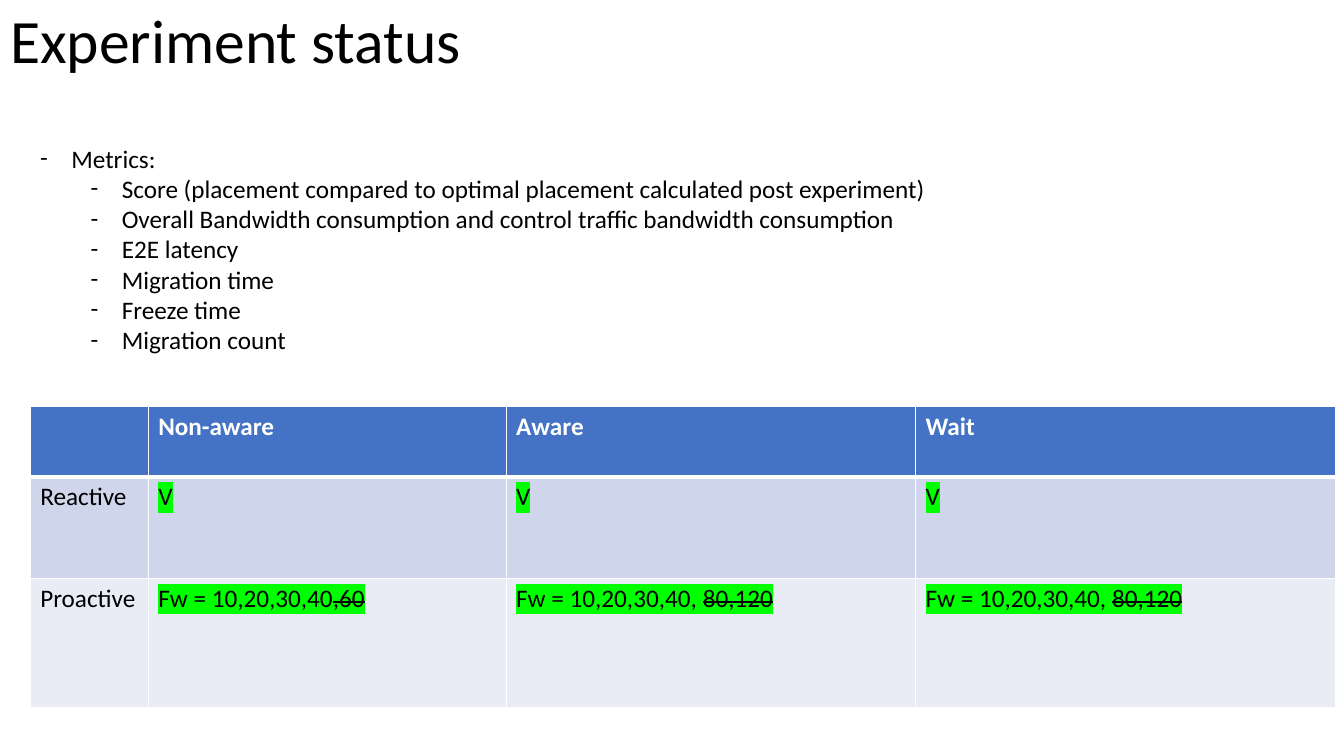
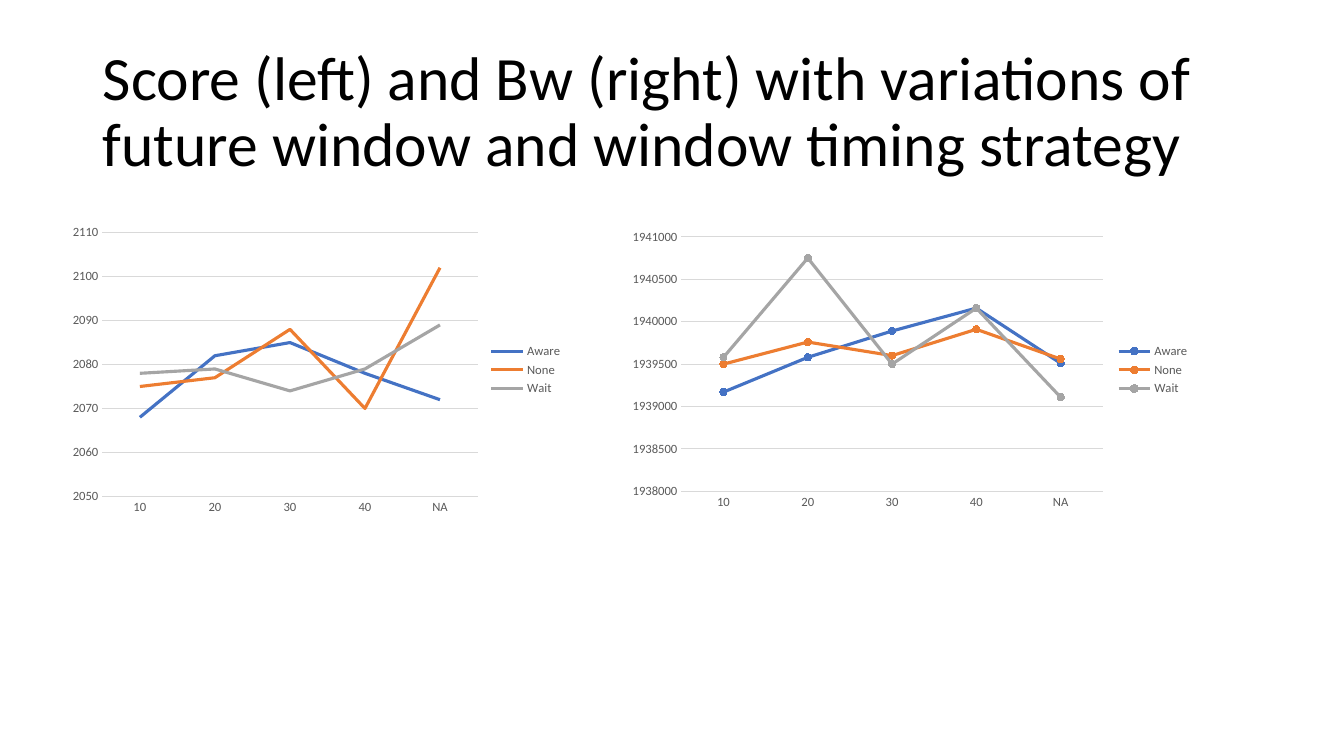
import pptx
import pptx.util
import pptx.chart.data
import pptx.dml.color
import pptx.enum.chart
import pptx.enum.text
import pptx.oxml.ns
import lxml.etree

Inches, Pt, qn = pptx.util.Inches, pptx.util.Pt, pptx.oxml.ns.qn
XL = pptx.enum.chart

# Shared look
FONT = "Calibri"
COLORS = {
    "text": "000000", "white": "FFFFFF", "header": "4472C4", "odd": "CFD5EA",
    "even": "E9EBF5", "done": "00FF00", "axis text": "595959", "grid": "D9D9D9",
    "Aware": "4472C4", "None": "ED7D31", "Wait": "A5A5A5",
}

# Content of the status slide: (level, text) and cells made of (text, style) runs
STATUS_TITLE = "Experiment status"
METRICS = [
    (0, "Metrics:"),
    (1, "Score (placement compared to optimal placement calculated post experiment)"),
    (1, "Overall Bandwidth consumption and control traffic bandwidth consumption"),
    (1, "E2E latency"),
    (1, "Migration time"),
    (1, "Freeze time"),
    (1, "Migration count"),
]
DONE = [("V", "done")]
LATER_WINDOWS = [("Fw = 10,20,30,40, ", "done"), ("80,120", "dropped")]
STATUS_ROWS = [
    [[], [("Non-aware", "header")], [("Aware", "header")], [("Wait", "header")]],
    [[("Reactive", "plain")], DONE, DONE, DONE],
    [[("Proactive", "plain")], [("Fw = 10,20,30,40", "done"), (",60", "dropped")],
     LATER_WINDOWS, LATER_WINDOWS],
]
COLUMN_WIDTHS = [1.17, 3.55, 4.06, 4.17]
ROW_HEIGHTS = [0.7, 1.01, 1.28]
ROW_FILLS = ["header", "odd", "even"]
# Border widths of each row: left, right, top, bottom
ROW_BORDERS = [(1, 1, 1, 3), (1, 1, 3, 1), (1, 1, 1, 1)]

# Content of the results slide
RESULTS_TITLE = ("Score (left) and Bw (right) with variations of future window "
                 "and window timing strategy")
WINDOWS = ["10", "20", "30", "40", "NA"]
RESULTS = [
    {"box": (6.07, 2.17, 5.83, 3), "plot": (0.118, 0.06, 0.717, 0.842),
     "scale": (1938000, 1941000, 500), "markers": True,
     "lines": {"Aware": (1939170, 1939580, 1939890, 1940160, 1939510),
               "None": (1939500, 1939760, 1939600, 1939910, 1939560),
               "Wait": (1939580, 1940750, 1939500, 1940160, 1939110)}},
    {"box": (0.61, 2.17, 5.07, 3), "plot": (0.08, 0.046, 0.734, 0.873),
     "scale": (2050, 2110, 10), "markers": False,
     "lines": {"Aware": (2068, 2082, 2085, 2078, 2072),
               "None": (2075, 2077, 2088, 2070, 2102),
               "Wait": (2078, 2079, 2074, 2079, 2089)}},
]


def rgb(name):
    return pptx.dml.color.RGBColor.from_string(COLORS[name])


def style_font(font, size, color="text", **values):
    for key, value in {"name": FONT, "size": Pt(size), **values}.items():
        setattr(font, key, value)
    font.color.rgb = rgb(color)


def style_line(line, color, width):
    line.color.rgb = rgb(color)
    line.width = Pt(width)


def titled_slide(text, box):
    slide = deck.slides.add_slide(deck.slide_layouts[5])
    title = slide.shapes.title
    title.left, title.top, title.width, title.height = map(Inches, box)
    frame = title.text_frame
    frame.text = text
    frame.auto_size = pptx.enum.text.MSO_AUTO_SIZE.NONE
    frame.vertical_anchor = pptx.enum.text.MSO_ANCHOR.MIDDLE
    paragraph = frame.paragraphs[0]
    paragraph.alignment = pptx.enum.text.PP_ALIGN.LEFT
    paragraph.line_spacing = 0.9
    style_font(paragraph.runs[0].font, 44)
    return slide


def add_metrics(slide, box):
    frame = slide.shapes.add_textbox(*map(Inches, box)).text_frame
    frame.word_wrap = True
    for index, (level, text) in enumerate(METRICS):
        paragraph = frame.paragraphs[0] if index == 0 else frame.add_paragraph()
        paragraph.level = level
        run = paragraph.add_run()
        run.text = text
        style_font(run.font, 18)
        # Dash bullet with a hanging indent
        props = paragraph._p.get_or_add_pPr()
        props.set("marL", str(Inches(0.31 + 0.5 * level)))
        props.set("indent", str(-Inches(0.31)))
        lxml.etree.SubElement(props, qn("a:buFont"), typeface=FONT)
        lxml.etree.SubElement(props, qn("a:buChar"), char="-")


def add_cell_run(paragraph, text, style):
    run = paragraph.add_run()
    run.text = text
    header = style == "header"
    style_font(run.font, 18, "white" if header else "text", bold=header)
    props = run._r.get_or_add_rPr()
    if style in ("done", "dropped"):
        highlight = lxml.etree.Element(qn("a:highlight"))
        lxml.etree.SubElement(highlight, qn("a:srgbClr"), val=COLORS["done"])
        props.find(qn("a:solidFill")).addnext(highlight)
    if style == "dropped":
        props.set("strike", "sngStrike")


def add_borders(cell, widths):
    props = cell._tc.get_or_add_tcPr()
    for index, (side, width) in enumerate(zip("LRTB", widths)):
        border = lxml.etree.Element(qn("a:ln" + side), w=str(Pt(width)))
        fill = lxml.etree.SubElement(border, qn("a:solidFill"))
        lxml.etree.SubElement(fill, qn("a:srgbClr"), val=COLORS["white"])
        props.insert(index, border)


def add_status_table(slide, left, top):
    table = slide.shapes.add_table(
        len(STATUS_ROWS), len(COLUMN_WIDTHS), Inches(left), Inches(top),
        Inches(sum(COLUMN_WIDTHS)), Inches(sum(ROW_HEIGHTS))).table
    for column, width in zip(table.columns, COLUMN_WIDTHS):
        column.width = Inches(width)
    for row, height, fill, borders, contents in zip(
            table.rows, ROW_HEIGHTS, ROW_FILLS, ROW_BORDERS, STATUS_ROWS):
        row.height = Inches(height)
        for cell, runs in zip(row.cells, contents):
            cell.fill.solid()
            cell.fill.fore_color.rgb = rgb(fill)
            add_borders(cell, borders)
            for text, style in runs:
                add_cell_run(cell.text_frame.paragraphs[0], text, style)


def place_plot(chart, plot):
    area = chart._chartSpace.chart.plotArea
    for old in area.findall(qn("c:layout")):
        area.remove(old)
    layout = lxml.etree.Element(qn("c:layout"))
    manual = lxml.etree.SubElement(layout, qn("c:manualLayout"))
    values = [("layoutTarget", "inner"), ("xMode", "edge"), ("yMode", "edge"),
              *zip("xywh", plot)]
    for tag, value in values:
        lxml.etree.SubElement(manual, qn("c:" + tag), val=str(value))
    area.insert(0, layout)


def add_result_chart(slide, result):
    data = pptx.chart.data.CategoryChartData()
    data.categories = WINDOWS
    for name, values in result["lines"].items():
        data.add_series(name, values)
    kind = XL.XL_CHART_TYPE.LINE_MARKERS if result["markers"] else XL.XL_CHART_TYPE.LINE
    chart = slide.shapes.add_chart(kind, *map(Inches, result["box"]), data).chart
    style_font(chart.font, 10)
    chart.has_title = False
    place_plot(chart, result["plot"])

    # Legend
    chart.has_legend = True
    chart.legend.position = XL.XL_LEGEND_POSITION.RIGHT
    chart.legend.include_in_layout = False
    style_font(chart.legend.font, 9, "axis text")

    # Axes
    windows, amounts = chart.category_axis, chart.value_axis
    for axis in (windows, amounts):
        axis.major_tick_mark = axis.minor_tick_mark = XL.XL_TICK_MARK.NONE
        style_font(axis.tick_labels.font, 9, "axis text")
    style_line(windows.format.line, "grid", 0.75)
    style_line(amounts.major_gridlines.format.line, "grid", 0.75)
    amounts.format.line.fill.background()
    amounts.minimum_scale, amounts.maximum_scale, amounts.major_unit = result["scale"]

    # Lines
    chart.plots[0].vary_by_categories = False
    for series in chart.plots[0].series:
        series.smooth = False
        style_line(series.format.line, series.name, 2.25)
        marker = series.marker
        if result["markers"]:
            marker.style, marker.size = XL.XL_MARKER_STYLE.CIRCLE, 5
            marker.format.fill.solid()
            marker.format.fill.fore_color.rgb = rgb(series.name)
            style_line(marker.format.line, series.name, 0.75)
        else:
            marker.style = XL.XL_MARKER_STYLE.NONE


deck = pptx.Presentation()
deck.slide_width, deck.slide_height = Inches(13.33), Inches(7.5)

# Experiment status
status = titled_slide(STATUS_TITLE, (0, 0, 11.5, 0.86))
add_status_table(status, 0.3, 4.03)
add_metrics(status, (0.3, 1.37, 11.8, 2.22))

# Score and bandwidth results
results = titled_slide(RESULTS_TITLE, (0.92, 0.4, 11.5, 1.45))
for result in RESULTS:
    add_result_chart(results, result)

deck.save("out.pptx")
